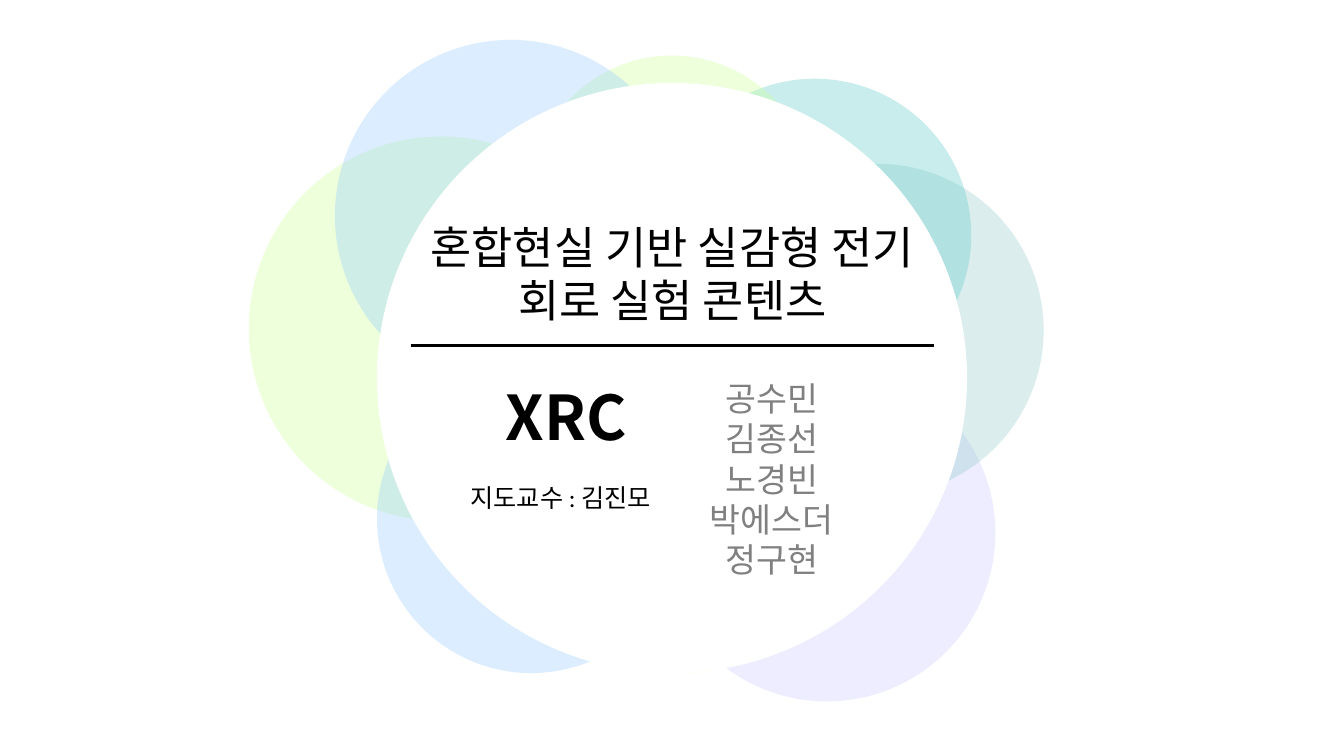
"""Build a title slide with a flower of translucent circles behind a white disc."""
from lxml.etree import SubElement
from pptx import Presentation
from pptx.dml.color import RGBColor
from pptx.enum.shapes import MSO_CONNECTOR as Connector, MSO_SHAPE as Shape
from pptx.enum.text import MSO_ANCHOR as Anchor, MSO_AUTO_SIZE as AutoSize, PP_ALIGN as Align
from pptx.oxml.ns import qn
from pptx.util import Pt

PX = 9525
CJK = "Noto Sans CJK SC"


def color(value):
    return RGBColor.from_string(value)


def write(box, place, lines, size, font=CJK, ink="000000", bold=False):
    box.left, box.top, box.width, box.height = [edge * PX for edge in place]
    frame = box.text_frame
    frame.word_wrap = True
    frame.auto_size = AutoSize.NONE
    frame.vertical_anchor = Anchor.TOP
    for index, line in enumerate(lines):
        para = frame.add_paragraph() if index else frame.paragraphs[0]
        para.alignment = Align.CENTER
        para.space_before = Pt(0)
        span = para.add_run()
        span.text = line
        span.font.name = font
        span.font.size = Pt(size)
        span.font.bold = bold
        span.font.color.rgb = color(ink)
        SubElement(span.font._element, qn("a:ea"), typeface=CJK)


deck = Presentation()
deck.slide_width, deck.slide_height = 1280 * PX, 720 * PX
page = deck.slides.add_slide(deck.slide_layouts[0])
title, members = page.placeholders

circles = [
    (505, 225, 270, "D9D9D9", 35),
    (237, 130, 366, "CCFF99", 35),
    (359, 347, 294, "99CCFF", 35),
    (531, 397, 244, "FFFFCC", 35),
    (627, 347, 321, "CCCCFF", 35),
    (677, 156, 317, "99CCCC", 35),
    (627, 75, 298, "66CCCC", 35),
    (505, 53, 270, "CCFF99", 35),
    (319, 38, 335, "99CCFF", 35),
    (359, 79, 562, "FFFFFF", 100),
]
for left, top, size, tint, opacity in circles:
    circle = page.shapes.add_shape(Shape.OVAL, left * PX, top * PX, size * PX, size * PX)
    circle.shadow.inherit = False
    circle.line.fill.background()
    circle.fill.solid()
    circle.fill.fore_color.rgb = color(tint)
    if opacity < 100:
        tone = circle.fill._xPr.find(qn("a:solidFill"))[0]
        SubElement(tone, qn("a:alpha"), val=str(opacity * 1000))

team = page.shapes.add_textbox(0, 0, 0, 0)
write(team, (290, 356, 499, 81), ["XRC"], 44, bold=True)

page.shapes._spTree.append(members._element)
write(members, (621, 355, 228, 204), ["공수민", "김종선", "노경빈", "박에스더", "정구현"], 24, ink="808080")

page.shapes._spTree.append(title._element)
write(title, (391, 204, 499, 113), ["혼합현실 기반 실감형 전기 회로 실험 콘텐츠"], 32, font="Calibri")

rule = page.shapes.add_connector(Connector.STRAIGHT, 391 * PX, 329 * PX, 890 * PX, 329 * PX)
rule.line.color.rgb = color("000000")
rule.line.width = Pt(2.25)
SubElement(rule._element.spPr, qn("a:effectLst"))

advisor = page.shapes.add_textbox(0, 0, 0, 0)
write(advisor, (420, 455, 228, 38), ["지도교수 : 김진모"], 18, font="Calibri")

deck.save("out.pptx")
